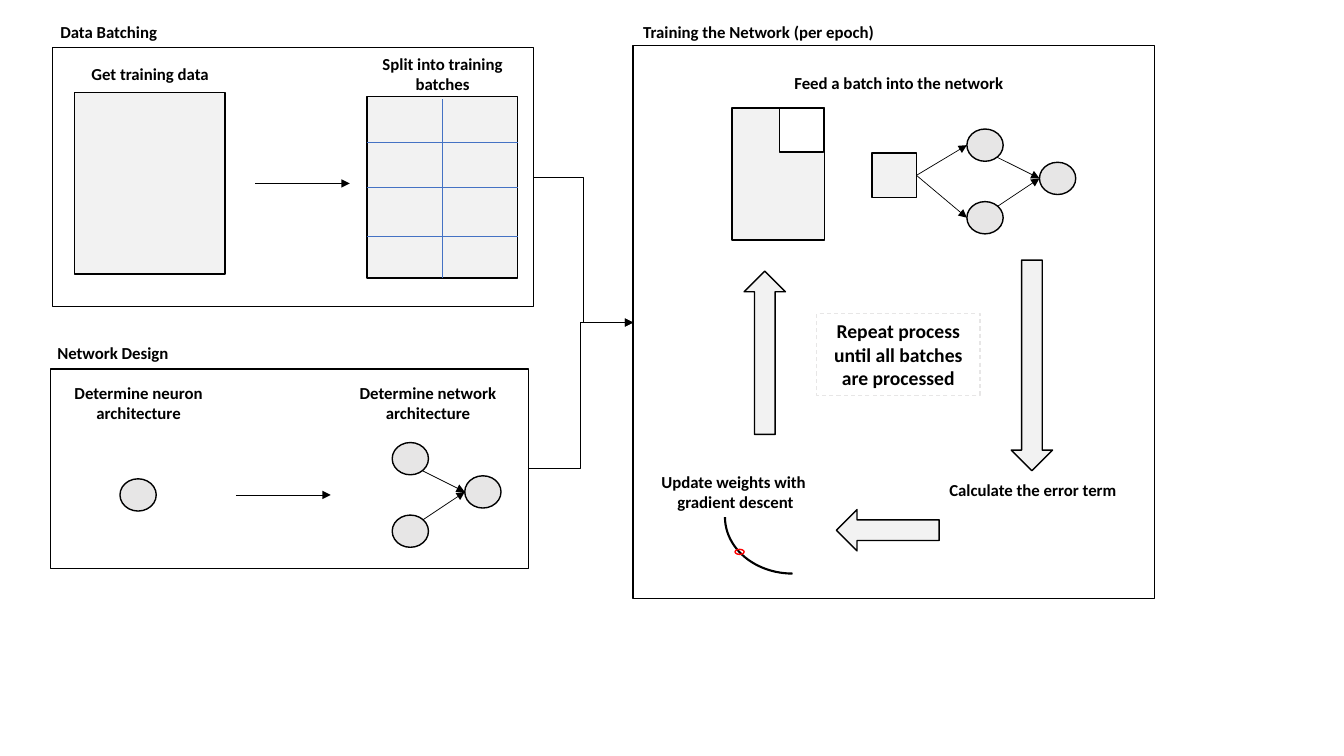
from lxml import etree
from pptx import Presentation
from pptx.dml.color import RGBColor
from pptx.enum import dml, shapes, text
from pptx.oxml import ns
from pptx.util import Inches, Pt

BLACK = RGBColor(0x00, 0x00, 0x00)
WHITE = RGBColor(0xFF, 0xFF, 0xFF)
LIGHT = RGBColor(0xF2, 0xF2, 0xF2)
GREY = RGBColor(0xE7, 0xE6, 0xE6)
BLUE = RGBColor(0x44, 0x72, 0xC4)
RED = RGBColor(0xFF, 0x00, 0x00)
KIND = shapes.MSO_SHAPE
CENTER = text.PP_ALIGN.CENTER
LEFT = text.PP_ALIGN.LEFT


def write(frame, lines, size, align):
    """Fill a text frame with bold paragraphs."""
    frame.word_wrap = True
    for index, line in enumerate(lines):
        para = frame.paragraphs[0] if index == 0 else frame.add_paragraph()
        para.alignment = align
        span = para.add_run()
        span.text = line
        span.font.name = "Calibri"
        span.font.size = Pt(size)
        span.font.bold = True
        span.font.color.rgb = BLACK


def add_label(page, lines, left, top, width, align=CENTER):
    """Add a text box tall enough for its lines."""
    height = 0.5 if len(lines) > 1 else 0.3
    box = page.shapes.add_textbox(Inches(left), Inches(top), Inches(width), Inches(height))
    write(box.text_frame, lines, 12, align)


def add_figure(page, kind, left, top, width, height, fill=None, line=BLACK, weight=1, turn=0):
    """Add an outlined preset shape, filled when a colour is given."""
    figure = page.shapes.add_shape(kind, Inches(left), Inches(top), Inches(width), Inches(height))
    figure.shadow.inherit = False
    figure.rotation = turn
    if fill is None:
        figure.fill.background()
    else:
        figure.fill.solid()
        figure.fill.fore_color.rgb = fill
    figure.line.color.rgb = line
    figure.line.width = Pt(weight)
    return figure


def add_line(page, start, end, color=BLACK, arrow=True, kind=shapes.MSO_CONNECTOR.STRAIGHT):
    """Connect two points, with an arrowhead at the end by default."""
    line = page.shapes.add_connector(kind, *[Inches(value) for value in (*start, *end)])
    line.line.color.rgb = color
    line.line.width = Pt(0.5)
    if arrow:
        etree.SubElement(line.line._get_or_add_ln(), ns.qn("a:tailEnd"), type="triangle")
    etree.SubElement(line._element.spPr, ns.qn("a:effectLst"))


def add_neuron(page, left, top):
    """Add one neuron."""
    add_figure(page, KIND.OVAL, left, top, 0.36, 0.32, GREY)


def add_network(page, left, top):
    """Add two neurons that feed a third."""
    for across, down in ((0, 0.72), (0, 0), (0.72, 0.33)):
        add_neuron(page, left + across, top + down)
    for down in (0.28, 0.77):
        add_line(page, (left + 0.3, top + down), (left + 0.72, top + 0.49))


def add_batching(page, left, top, width, height):
    """Build the data batching panel."""
    add_label(page, ["Data Batching"], left - 0.02, top - 0.3, 1.7, LEFT)
    add_figure(page, KIND.RECTANGLE, left, top, width, height, WHITE)
    add_figure(page, KIND.RECTANGLE, left + 0.22, top + 0.45, 1.49, 1.8, LIGHT)
    add_label(page, ["Get training data"], left + 0.12, top + 0.11, 1.7)
    add_line(page, (left + 2.01, top + 1.35), (left + 2.95, top + 1.35))
    grid_left, grid_top = left + 3.12, top + 0.49
    add_figure(page, KIND.RECTANGLE, grid_left, grid_top, 1.49, 1.8, LIGHT)
    add_label(page, ["Split into training batches"], left + 3.02, top + 0.01, 1.7)
    for down in (0.45, 0.9, 1.39):
        add_line(page, (grid_left, grid_top + down), (grid_left + 1.5, grid_top + down), BLUE, False)
    add_line(page, (grid_left + 0.75, grid_top + 1.8), (grid_left + 0.75, grid_top + 0.02), BLUE, False)


def add_design(page, left, top, width, height):
    """Build the network design panel."""
    add_label(page, ["Network Design"], left - 0.03, top - 0.31, 1.7, LEFT)
    add_figure(page, KIND.RECTANGLE, left, top, width, height, WHITE)
    add_label(page, ["Determine neuron", "architecture"], left - 0.4, top + 0.09, 2.55)
    add_neuron(page, left + 0.69, top + 1.09)
    add_line(page, (left + 1.84, top + 1.25), (left + 2.78, top + 1.25))
    add_label(page, ["Determine network", "architecture"], left + 2.47, top + 0.09, 2.55)
    add_network(page, left + 3.39, top + 0.73)


def add_training(page, left, top, width, height):
    """Build the training cycle panel."""
    add_label(page, ["Training the Network (per epoch)"], left, top - 0.28, 2.62, LEFT)
    add_figure(page, KIND.RECTANGLE, left, top, width, height, WHITE)
    add_label(page, ["Feed a batch into the network"], left + 1.19, top + 0.22, 2.89)
    add_figure(page, KIND.RECTANGLE, left + 0.98, top + 0.62, 0.92, 1.31, LIGHT)
    add_figure(page, KIND.RECTANGLE, left + 1.45, top + 0.62, 0.44, 0.44, WHITE)
    add_figure(page, KIND.RECTANGLE, left + 2.37, top + 1.07, 0.44, 0.44, LIGHT)
    add_network(page, left + 3.31, top + 0.83)
    for down in (0.99, 1.71):
        add_line(page, (left + 2.81, top + 1.29), (left + 3.31, top + down))
    for across, down, length, turn in ((3.75, 2.13, 2.09, 0), (2.32, 4.3, 1.02, 90), (1.1, 2.24, 1.62, 180)):
        add_figure(page, KIND.DOWN_ARROW, left + across, top + down, 0.41, length, LIGHT, turn=turn)
    add_label(page, ["Calculate the error term"], left + 2.52, top + 4.26, 2.89)
    add_label(page, ["Update weights with ", "gradient descent"], left - 0.43, top + 4.18, 2.89)
    add_figure(page, KIND.ARC, left + 0.91, top + 4.12, 1.34, 1.12, weight=1.5, turn=180)
    add_figure(page, KIND.OVAL, left + 1.01, top + 5, 0.09, 0.05, line=RED)
    note = add_figure(page, KIND.RECTANGLE, left + 1.82, top + 2.66, 1.62, 0.81, line=GREY, weight=0.75)
    note.line.dash_style = dml.MSO_LINE.DASH
    write(note.text_frame, ["Repeat process until all batches are processed"], 14, CENTER)


def main():
    """Build and save the slide."""
    deck = Presentation()
    deck.slide_width, deck.slide_height = Inches(13.33), Inches(7.5)
    page = deck.slides.add_slide(deck.slide_layouts[6])
    add_batching(page, 0.52, 0.47, 4.77, 2.57)
    add_design(page, 0.5, 3.66, 4.74, 1.98)
    add_training(page, 6.28, 0.45, 5.17, 5.49)
    for start in ((5.29, 1.76), (5.24, 4.65)):
        add_line(page, start, (6.28, 3.2), kind=shapes.MSO_CONNECTOR.ELBOW)
    deck.save("out.pptx")


if __name__ == "__main__":
    main()
